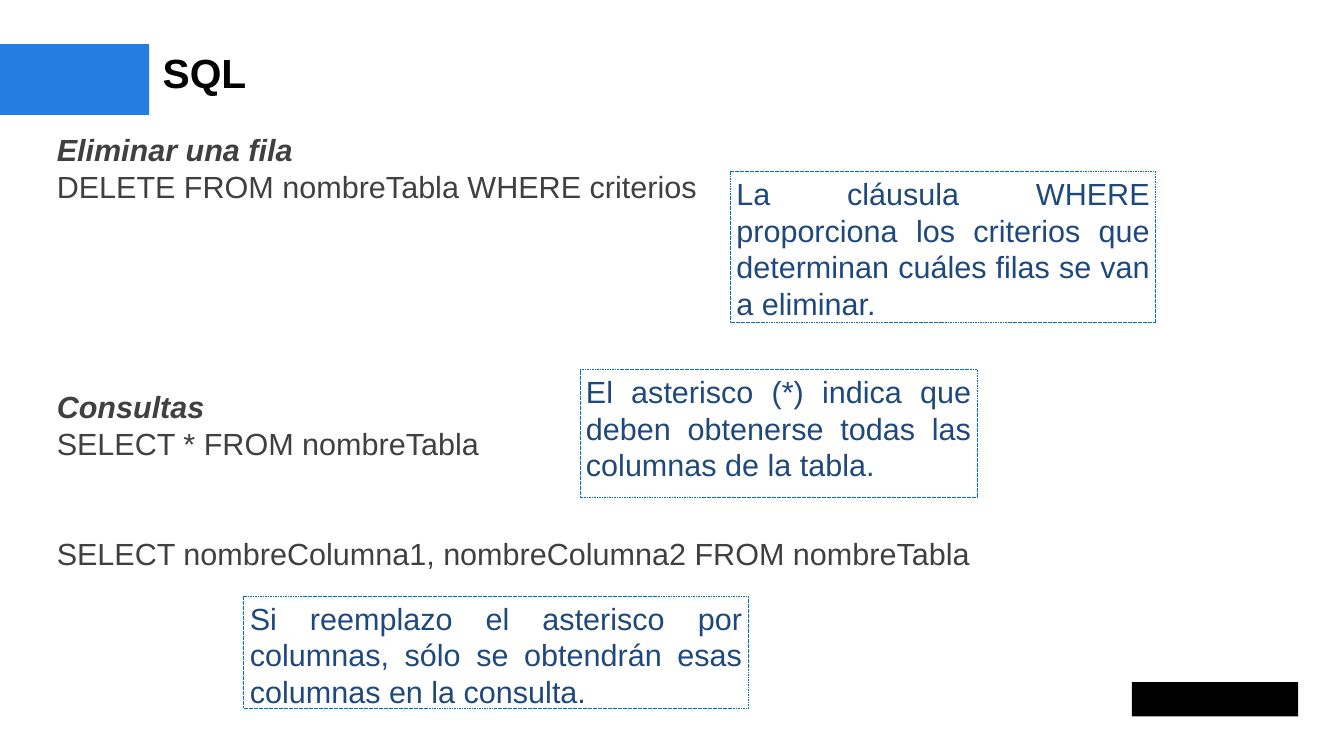
from dataclasses import dataclass

from pptx import Presentation
from pptx.dml.color import RGBColor
from pptx.enum.dml import MSO_LINE
from pptx.enum.shapes import MSO_SHAPE
from pptx.enum.text import MSO_ANCHOR, PP_ALIGN
from pptx.util import Cm, Pt

RECTANGLE = MSO_SHAPE.RECTANGLE
DASHED = MSO_LINE.SQUARE_DOT
TOP = MSO_ANCHOR.TOP
LEFT = PP_ALIGN.LEFT
JUSTIFY = PP_ALIGN.JUSTIFY

BLUE, BLACK, GREY = "257CE1", "000000", "404040"
NAVY, OUTLINE = "1F497D", "0070C0"

TITLE_FORMAT = {"name": "Arial", "size": Pt(48), "bold": True}
HEADING_FORMAT = {"name": "Arial", "size": Pt(36), "bold": True, "italic": True}
PLAIN_FORMAT = {"name": "Arial", "size": Pt(36), "bold": False, "italic": False}


@dataclass(frozen=True)
class Area:
    left: float
    top: float
    width: float
    height: float

    def lengths(self) -> list:
        return [Cm(side) for side in (self.left, self.top, self.width, self.height)]


@dataclass(frozen=True)
class Line:
    text: str
    format: dict
    color: str
    align: int = LEFT
    space_before: float = 0


@dataclass(frozen=True)
class Callout:
    area: Area
    text: str


STATEMENTS = [
    Line("Eliminar una fila", HEADING_FORMAT, GREY),
    Line("DELETE FROM nombreTabla WHERE criterios", PLAIN_FORMAT, GREY),
    Line("Consultas", HEADING_FORMAT, GREY, space_before=216),
    Line("SELECT * FROM nombreTabla", PLAIN_FORMAT, GREY),
    Line("SELECT nombreColumna1, nombreColumna2 FROM nombreTabla",
         PLAIN_FORMAT, GREY, space_before=86.4),
]

CALLOUTS = [
    Callout(Area(30.35, 7.14, 17.68, 6.27),
            "La cláusula WHERE proporciona los criterios que determinan "
            "cuáles filas se van a eliminar."),
    Callout(Area(10.13, 24.79, 20.96, 4.65),
            "Si reemplazo el asterisco por columnas, sólo se obtendrán "
            "esas columnas en la consulta."),
    Callout(Area(24.1, 15.37, 16.51, 5.28),
            "El asterisco (*) indica que deben obtenerse todas las "
            "columnas de la tabla."),
]


def paint(target, color: str) -> None:
    target.rgb = RGBColor.from_string(color)


def write_lines(frame, lines: list[Line]) -> None:
    frame.word_wrap = True
    frame.vertical_anchor = TOP
    for index, line in enumerate(lines):
        paragraph = frame.add_paragraph() if index else frame.paragraphs[0]
        paragraph.alignment = line.align
        if line.space_before:
            paragraph.space_before = Pt(line.space_before)
        run = paragraph.add_run()
        run.text = line.text
        for attribute, value in line.format.items():
            setattr(run.font, attribute, value)
        paint(run.font.color, line.color)


def draw_block(slide, area: Area, color: str) -> None:
    block = slide.shapes.add_shape(RECTANGLE, *area.lengths())
    block.shadow.inherit = False
    block.fill.solid()
    paint(block.fill.fore_color, color)
    block.line.fill.background()


def draw_text(slide, area: Area, lines: list[Line], margins: dict) -> None:
    frame = slide.shapes.add_textbox(*area.lengths()).text_frame
    for attribute, value in margins.items():
        setattr(frame, attribute, value)
    write_lines(frame, lines)


def draw_callout(slide, callout: Callout) -> None:
    box = slide.shapes.add_shape(RECTANGLE, *callout.area.lengths())
    box.shadow.inherit = False
    box.fill.background()
    paint(box.line.color, OUTLINE)
    box.line.width = Pt(0.75)
    box.line.dash_style = DASHED
    write_lines(box.text_frame, [Line(callout.text, PLAIN_FORMAT, NAVY, JUSTIFY)])


def main() -> None:
    presentation = Presentation()
    presentation.slide_width = Cm(55.85)
    presentation.slide_height = Cm(31.42)
    slide = presentation.slides.add_slide(presentation.slide_layouts[6])

    draw_block(slide, Area(0, 1.83, 6.2, 2.95), BLUE)
    draw_block(slide, Area(47.04, 28.35, 6.91, 1.42), BLACK)

    no_margins = {f"margin_{side}": 0 for side in ("left", "top", "right", "bottom")}
    draw_text(slide, Area(6.76, 1.98, 47.19, 2.06),
              [Line("SQL", TITLE_FORMAT, BLACK)], no_margins)
    draw_text(slide, Area(2.11, 5.33, 51.84, 24.1), STATEMENTS, {})

    for callout in CALLOUTS:
        draw_callout(slide, callout)

    presentation.save("out.pptx")


if __name__ == "__main__":
    main()
